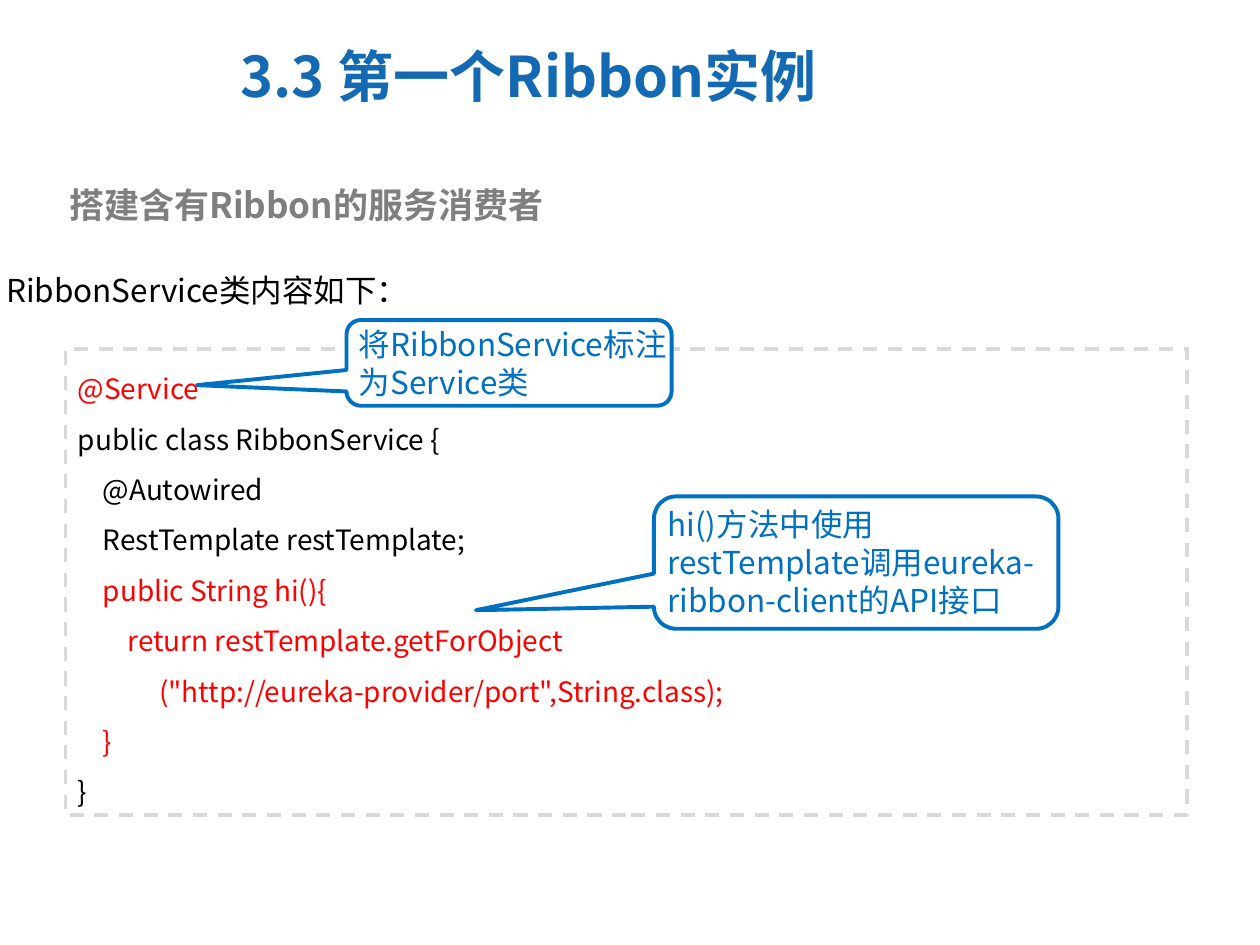
from lxml import etree
from pptx import Presentation
from pptx.dml.color import RGBColor
from pptx.enum.dml import MSO_LINE
from pptx.enum.shapes import MSO_SHAPE
from pptx.enum.text import MSO_ANCHOR, MSO_AUTO_SIZE, PP_ALIGN
from pptx.oxml.ns import qn
from pptx.util import Inches, Pt

RECTANGLE = MSO_SHAPE.RECTANGLE
CALLOUT = MSO_SHAPE.ROUNDED_RECTANGULAR_CALLOUT
LEFT, JUSTIFY = PP_ALIGN.LEFT, PP_ALIGN.JUSTIFY
TOP, MIDDLE = MSO_ANCHOR.TOP, MSO_ANCHOR.MIDDLE

FONT = "Noto Sans CJK SC"
COLORS = {
    "title": "1369B2",
    "subtitle": "7F7F7F",
    "text": "000000",
    "highlight": "FF0000",
    "callout": "0070C0",
    "frame": "D9D9D9",
    "white": "FFFFFF",
}

TITLE = "3.3 第一个Ribbon实例"
SUBTITLE = "搭建含有Ribbon的服务消费者"
INTRO = "RibbonService类内容如下："
CODE = [
    ("@Service", "highlight"),
    ("public class RibbonService {", "text"),
    ("    @Autowired", "text"),
    ("    RestTemplate restTemplate;", "text"),
    ("    public String hi(){", "highlight"),
    ("        return restTemplate.getForObject", "highlight"),
    ('             ("http://eureka-provider/port",String.class);', "highlight"),
    ("    }", "highlight"),
    ("}", "text"),
]
CALLOUTS = [
    {
        "text": "将RibbonService标注为Service类",
        "shape": (2.75, 2.54, 2.58, 0.68),
        "label": (2.75, 2.53, 2.69, 0.7),
        "pointer": (-0.96, 0.26),
        "fill": "white",
    },
    {
        "text": "hi()方法中使用restTemplate调用eureka-ribbon-client的API接口",
        "shape": (5.19, 3.94, 3.21, 1.05),
        "label": (5.2, 3.96, 3.34, 1),
        "pointer": (-0.94, 0.36),
        "fill": None,
    },
]


def rgb(name):
    return RGBColor.from_string(COLORS[name])


def write(frame, lines, size, bold=False, align=LEFT, spacing=1.0, anchor=TOP):
    """Fill a text frame with (text, colour name) lines, one paragraph each."""
    frame.word_wrap = True
    frame.auto_size = MSO_AUTO_SIZE.NONE
    frame.vertical_anchor = anchor
    for index, (text, color) in enumerate(lines):
        para = frame.add_paragraph() if index else frame.paragraphs[0]
        para.alignment = align
        para.line_spacing = spacing
        span = para.add_run()
        span.text = text
        span.font.name = FONT
        span.font.size = Pt(size)
        span.font.bold = bold
        span.font.color.rgb = rgb(color)
        east_asian = etree.SubElement(span.font._element, qn("a:ea"))
        east_asian.set("typeface", FONT)


def add_text(page, place, text, color, size, **style):
    box = page.shapes.add_textbox(*map(Inches, place))
    write(box.text_frame, [(text, color)], size, **style)


def add_panel(page, kind, place, fill=None, line=None, width=0):
    panel = page.shapes.add_shape(kind, *map(Inches, place))
    panel.shadow.inherit = False
    if fill:
        panel.fill.solid()
        panel.fill.fore_color.rgb = rgb(fill)
    else:
        panel.fill.background()
    if line:
        panel.line.color.rgb = rgb(line)
        panel.line.width = Pt(width)
    else:
        panel.line.fill.background()
    return panel


def add_callout(page, item):
    bubble = add_panel(page, CALLOUT, item["shape"], item["fill"], "callout", 2.25)
    bubble.adjustments[0], bubble.adjustments[1] = item["pointer"]
    add_text(page, item["label"], item["text"], "callout", 18)


def main():
    deck = Presentation()
    deck.slide_width, deck.slide_height = Inches(10), Inches(7.5)
    page = deck.slides.add_slide(deck.slide_layouts[5])

    title = page.shapes.title
    title.left, title.top, title.width, title.height = map(Inches, (1.81, 0.17, 5.16, 0.85))
    write(title.text_frame, [(TITLE, "title")], 32, bold=True, anchor=MIDDLE)

    add_text(page, (0.45, 1.41, 9.03, 0.44), SUBTITLE, "subtitle", 20, bold=True)

    code_panel = add_panel(page, RECTANGLE, (0.52, 2.77, 8.9, 3.7), "white", "frame", 2)
    code_panel.line.dash_style = MSO_LINE.DASH
    write(code_panel.text_frame, CODE, 16, spacing=1.5)

    add_text(page, (-0.05, 1.95, 6.98, 0.55), INTRO, "text", 18, align=JUSTIFY, spacing=1.5)

    for item in CALLOUTS:
        add_callout(page, item)

    add_panel(page, RECTANGLE, (6.73, 0.38, 2.91, 0.64), "white")
    deck.save("out.pptx")


if __name__ == "__main__":
    main()
